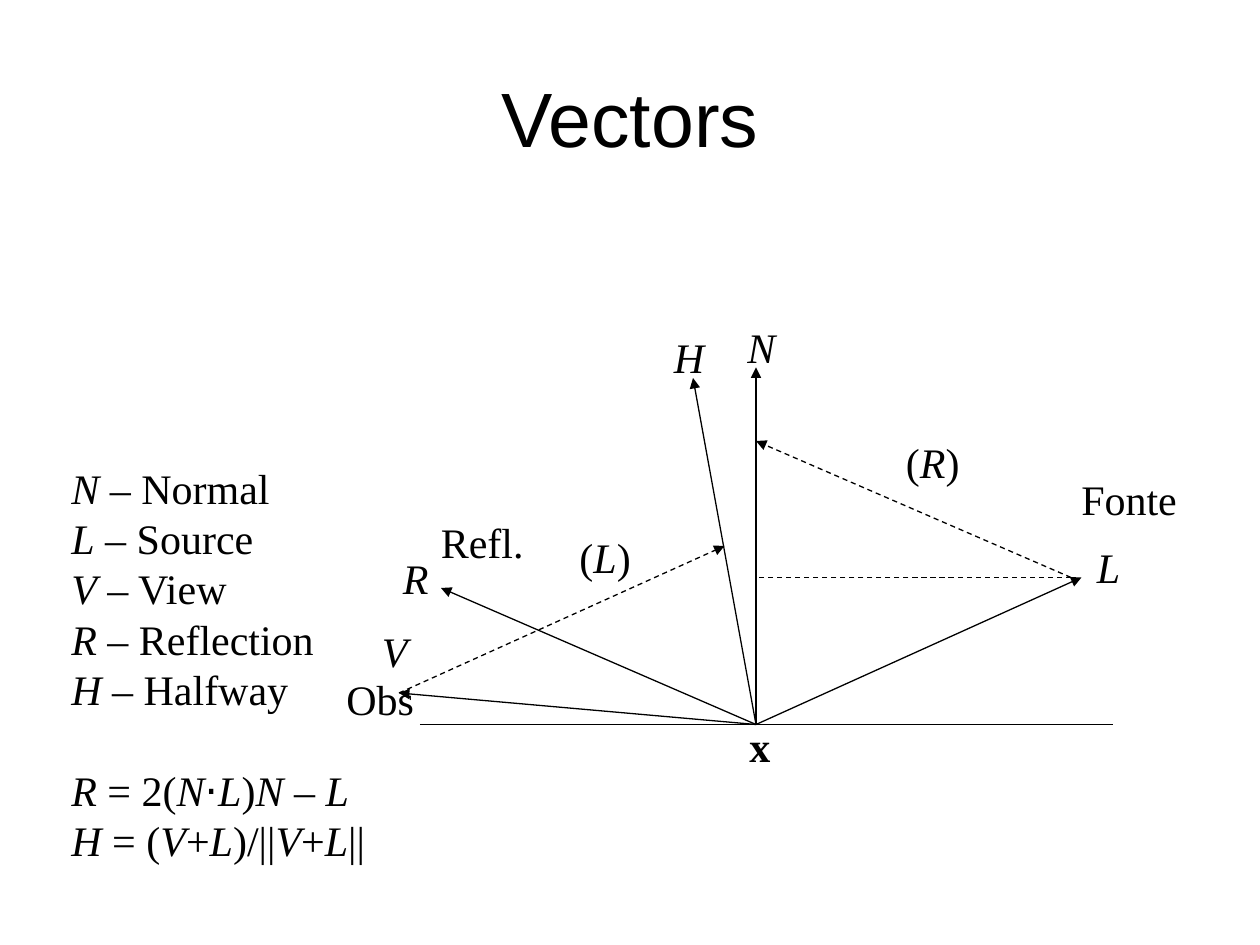
from dataclasses import dataclass

from lxml import etree
from pptx import Presentation
from pptx.dml.color import RGBColor
from pptx.enum.dml import MSO_LINE
from pptx.enum.shapes import MSO_CONNECTOR
from pptx.enum.text import MSO_ANCHOR, MSO_AUTO_SIZE, PP_ALIGN
from pptx.oxml.ns import qn
from pptx.util import Inches, Pt

STRAIGHT = MSO_CONNECTOR.STRAIGHT
DASH = MSO_LINE.DASH
MIDDLE, TOP = MSO_ANCHOR.MIDDLE, MSO_ANCHOR.TOP
NO_FIT, GROW = MSO_AUTO_SIZE.NONE, MSO_AUTO_SIZE.SHAPE_TO_FIT_TEXT
LEFT, CENTER = PP_ALIGN.LEFT, PP_ALIGN.CENTER


@dataclass(frozen=True)
class Theme:
    ink: RGBColor = RGBColor(0, 0, 0)
    title_font: str = "Arial"
    text_font: str = "Times New Roman"
    symbol_font: str = "Arial"
    title_size: Pt = Pt(44)
    text_size: Pt = Pt(24)
    pitch: Pt = Pt(28.8)
    line_width: Pt = Pt(0.75)


THEME = Theme()
WIDTH, HEIGHT = Inches(10), Inches(7.5)
CELL = WIDTH / 120  # the grid has 120 columns and 90 rows

# Points of the diagram, as (column, row)
X, N, L, R, V, H = (72, 69), (72, 35), (103, 55), (42, 56), (38, 66), (66, 36)
SURFACE = (40, 69), (106, 69)
SOURCE = (102, 55)
SOLID_ARROWS = [(X, tip) for tip in (N, L, R, V, H)]
DASHED_ARROWS = [(SOURCE, (72, 42)), (V, (69, 52))]
PROJECTION = SOURCE, (72, 55)

# Text (italics between underscores), column, row, columns wide
LABELS = [
    ("_N_", 70, 30, 5),
    ("_L_", 103.3, 51, 4.6),
    ("_R_", 37.2, 52, 4.8),
    ("_V_", 35.2, 59, 4.8),
    ("_H_", 63, 31, 5.3),
    ("(_R_)", 85.1, 41, 7.4),
    ("(_L_)", 54, 50, 7.3),
    ("Fonte", 101.8, 44.5, 11.5),
    ("Obs", 31.8, 63.6, 8.8),
    ("Refl.", 40.8, 48.6, 10.2),
]
DEFINITIONS = ["_N_ – Normal", "_L_ – Source", "_V_ – View",
               "_R_ – Reflection", "_H_ – Halfway"]
EQUATIONS = ["_R_ = 2(_N__⋅__L_)_N_ – _L_", "_H_ = (_V_+_L_)/||_V_+_L_||"]


def grid(*cells):
    return [round(c * CELL) for c in cells]


def set_all(target, formats):
    for name, value in formats.items():
        setattr(target, name, value)


def place(sp, *cells):
    set_all(sp, dict(zip(("left", "top", "width", "height"), grid(*cells))))


def add_run(p, text, font, size, **style):
    r = p.add_run()
    r.text = text
    set_all(r.font, {"name": font, "size": size, **style})
    r.font.color.rgb = THEME.ink


def write(p, marked, bold=False):
    """Fill a paragraph; parts between underscores are italic."""
    set_all(p, {"alignment": LEFT, "line_spacing": THEME.pitch,
                "space_before": Pt(0)})
    for i, text in enumerate(marked.split("_")):
        if text:
            font = THEME.symbol_font if text == "⋅" else THEME.text_font
            add_run(p, text, font, THEME.text_size, italic=i % 2 == 1, bold=bold)


def add_title(s, text):
    sp = s.shapes.title
    place(sp, 6, 3.6, 108, 15)
    tf = sp.text_frame
    set_all(tf, {"vertical_anchor": MIDDLE, "auto_size": NO_FIT})
    p = tf.paragraphs[0]
    p.alignment = CENTER
    add_run(p, text, THEME.title_font, THEME.title_size)


def add_legend(s):
    sp = s.placeholders[1]
    place(sp, 5.6, 43.4, 30.4, 39.6)
    tf = sp.text_frame
    set_all(tf, {"vertical_anchor": TOP, "auto_size": NO_FIT, "word_wrap": False})
    for i, marked in enumerate(DEFINITIONS + EQUATIONS):
        p = tf.paragraphs[0] if i == 0 else tf.add_paragraph()
        write(p, marked)
        if i == len(DEFINITIONS):
            p.space_before = THEME.pitch
        # Plain lines without bullet or indent
        pPr = p._p.get_or_add_pPr()
        pPr.set("marL", "0")
        pPr.set("indent", "0")
        etree.SubElement(pPr, qn("a:buNone"))


def add_label(s, marked, col, row, cols, bold=False):
    sp = s.shapes.add_textbox(*grid(col, row, cols, 6))
    tf = sp.text_frame
    # No right inset, so that the text has room to stay on one line
    set_all(tf, {"word_wrap": True, "auto_size": GROW, "margin_right": 0})
    write(tf.paragraphs[0], marked, bold)


def add_line(s, start, end, dashed=False, arrow=False):
    line = s.shapes.add_connector(STRAIGHT, *grid(*start, *end))
    line.line.color.rgb = THEME.ink
    line.line.width = THEME.line_width
    if dashed:
        line.line.dash_style = DASH
    spPr = line._element.spPr
    if arrow:
        etree.SubElement(spPr.find(qn("a:ln")), qn("a:tailEnd"), type="triangle")
    etree.SubElement(spPr, qn("a:effectLst"))


def main():
    prs = Presentation()
    prs.slide_width, prs.slide_height = WIDTH, HEIGHT
    s = prs.slides.add_slide(prs.slide_layouts[1])

    # Title and list of symbols
    add_title(s, "Vectors")
    add_legend(s)

    # Surface, vectors and their dashed constructions
    add_line(s, *SURFACE)
    for start, end in SOLID_ARROWS:
        add_line(s, start, end, arrow=True)
    add_line(s, *PROJECTION, dashed=True)
    for start, end in DASHED_ARROWS:
        add_line(s, start, end, dashed=True, arrow=True)

    # Names of vectors and places
    for label in LABELS:
        add_label(s, *label)
    add_label(s, "x", 70.2, 68, 4.3, bold=True)

    prs.save("out.pptx")


if __name__ == "__main__":
    main()
